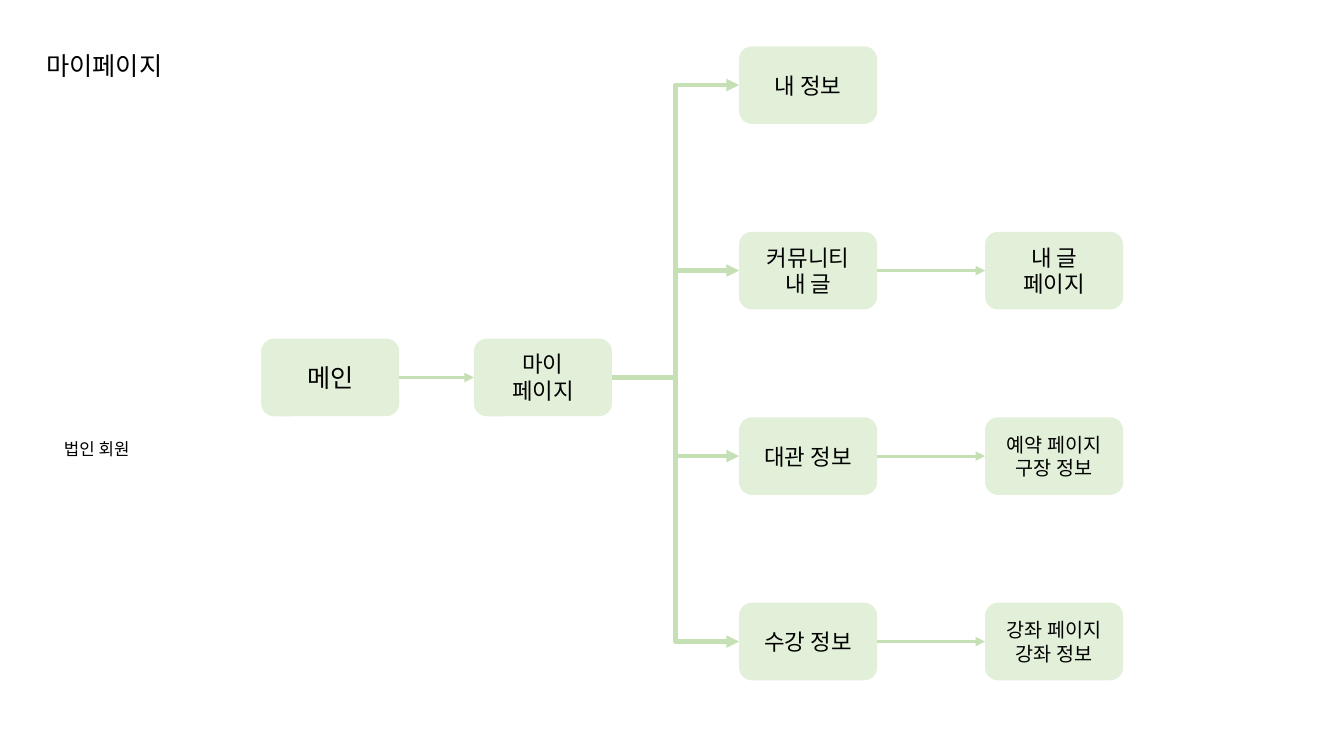
from lxml import etree
from pptx import Presentation
from pptx.dml.color import RGBColor
from pptx.enum import shapes, text
from pptx.oxml.ns import qn
from pptx.util import Inches, Pt

FONT = "Noto Sans CJK KR"
TEXT, BOX, LINE = "000000", "E2F0D9", "C5E0B4"

TITLE = "마이페이지"
MEMBER_TYPE = "법인 회원"
START = (["메인"], 18)
HUB = (["마이", "페이지"], 16)
BRANCHES = [  # (menu, size), (page it opens, size)
    ((["내 정보"], 16), None),
    ((["커뮤니티", "내 글"], 16), (["내 글", "페이지"], 16)),
    ((["대관 정보"], 16), (["예약 페이지", "구장 정보"], 14)),
    ((["수강 정보"], 16), (["강좌 페이지", "강좌 정보"], 14)),
]

BOX_WIDTH, BOX_HEIGHT = 1.37, 0.77
START_LEFT, HUB_LEFT, MENU_LEFT, PAGE_LEFT = 2.59, 4.7, 7.33, 9.77
HUB_TOP, FIRST_TOP, ROW_STEP = 3.36, 0.46, 1.84
LEFT_SITE, RIGHT_SITE = 1, 3


def color(value):
    return RGBColor.from_string(value)


def write(frame, lines, size, alignment=text.PP_ALIGN.CENTER):
    frame.text = "\n".join(lines)
    for paragraph in frame.paragraphs:
        paragraph.alignment = alignment
        paragraph.line_spacing = 1.0
        font = paragraph.font
        font.size = Pt(size)
        font.color.rgb = color(TEXT)
        font.name = FONT
        # Korean text takes the East Asian typeface
        defaults = paragraph._p.pPr.find(qn("a:defRPr"))
        etree.SubElement(defaults, qn("a:ea"), typeface=FONT)


def add_box(slide, left, top, label):
    box = slide.shapes.add_shape(
        shapes.MSO_SHAPE.ROUNDED_RECTANGLE,
        Inches(left), Inches(top), Inches(BOX_WIDTH), Inches(BOX_HEIGHT))
    box.shadow.inherit = False
    box.fill.solid()
    box.fill.fore_color.rgb = color(BOX)
    box.line.fill.background()
    box.text_frame.vertical_anchor = text.MSO_ANCHOR.MIDDLE
    write(box.text_frame, *label)
    return box


def add_arrow(slide, source, target, kind=shapes.MSO_CONNECTOR.STRAIGHT, width=2.25):
    arrow = slide.shapes.add_connector(kind, 0, 0, 0, 0)
    arrow.begin_connect(source, RIGHT_SITE)
    arrow.end_connect(target, LEFT_SITE)
    arrow.line.color.rgb = color(LINE)
    arrow.line.width = Pt(width)
    etree.SubElement(arrow.line._get_or_add_ln(), qn("a:tailEnd"), type="triangle")
    etree.SubElement(arrow._element.spPr, qn("a:effectLst"))


def main():
    presentation = Presentation()
    presentation.slide_width, presentation.slide_height = Inches(13.33), Inches(7.5)
    slide = presentation.slides.add_slide(presentation.slide_layouts[5])

    title = slide.shapes.title
    title.left, title.top = Inches(0.36), Inches(0.45)
    title.width, title.height = Inches(1.46), Inches(0.4)
    frame = title.text_frame
    frame.word_wrap = False
    frame.auto_size = text.MSO_AUTO_SIZE.NONE
    frame.vertical_anchor = text.MSO_ANCHOR.TOP
    write(frame, [TITLE], 18, text.PP_ALIGN.LEFT)

    member = slide.shapes.add_textbox(Inches(0.46), Inches(4.3), Inches(1), Inches(0.3))
    member.text_frame.word_wrap = True
    write(member.text_frame, [MEMBER_TYPE], 12)

    start = add_box(slide, START_LEFT, HUB_TOP, START)
    hub = add_box(slide, HUB_LEFT, HUB_TOP, HUB)
    add_arrow(slide, start, hub)
    for row, (menu_label, page_label) in enumerate(BRANCHES):
        top = FIRST_TOP + row * ROW_STEP
        menu = add_box(slide, MENU_LEFT, top, menu_label)
        add_arrow(slide, hub, menu, shapes.MSO_CONNECTOR.ELBOW, 3)
        if page_label:
            page = add_box(slide, PAGE_LEFT, top, page_label)
            add_arrow(slide, menu, page)

    presentation.save("out.pptx")


if __name__ == "__main__":
    main()
